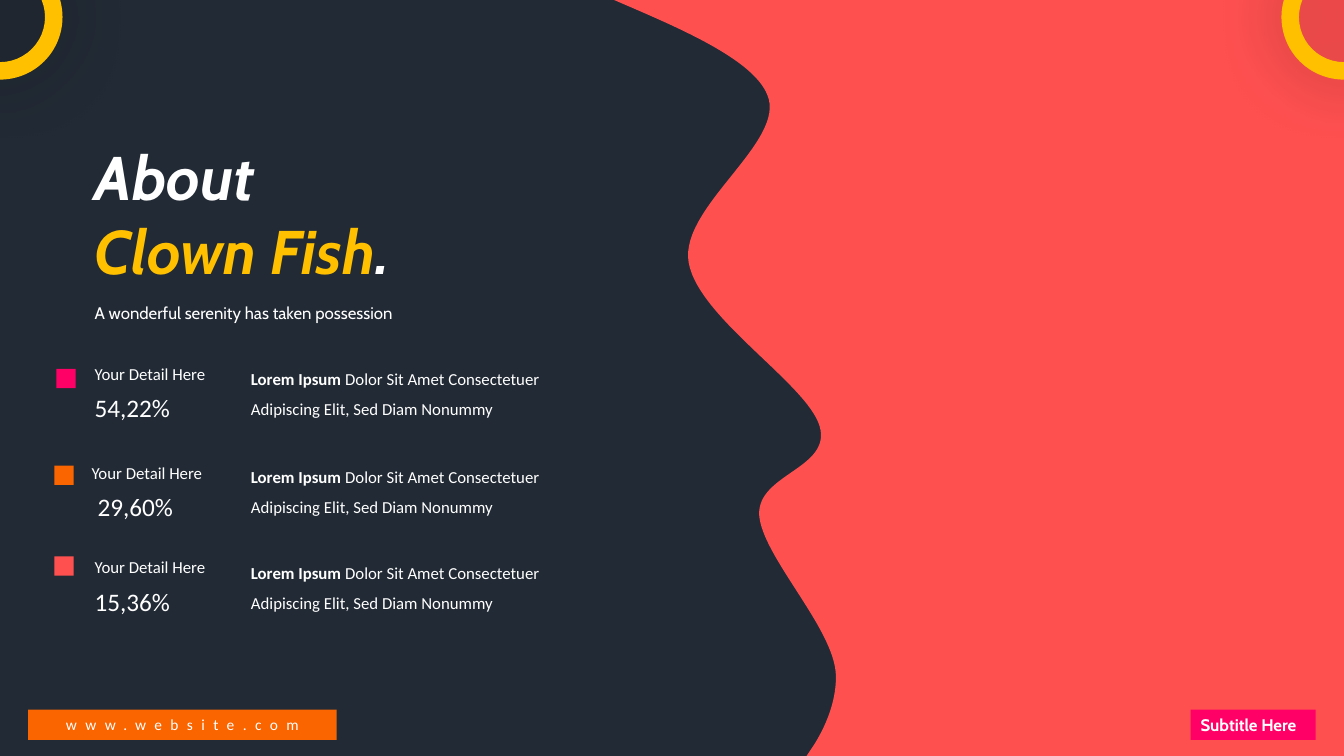
from lxml import etree
from pptx import Presentation
from pptx import util as u
from pptx.dml import color
from pptx.enum import shapes, text
from pptx.oxml import ns

PX = 9144
HEX = {"navy": "222A35", "coral": "FF5050", "gold": "FFC000",
       "pink": "FF0066", "orange": "FA6500", "white": "FFFFFF"}
KIND = shapes.MSO_SHAPE
FIT = text.MSO_AUTO_SIZE.SHAPE_TO_FIT_TEXT
EDGE = [(1333, 0), (1333, 750), (800, 750), (808, 738)]
WAVE = [
    ((821, 717), (830, 692), (829, 669)),
    ((827, 623), (756, 552), (753, 511)),
    ((751, 470), (825, 465), (813, 423)),
    ((801, 381), (692, 315), (683, 260)),
    ((674, 205), (781, 140), (761, 94)),
    ((747, 59), (674, 28), (616, 3)),
]
ROWS = [
    ("54,22%", "pink", (56, 366), (84, 356), (84, 384), 351),
    ("29,60%", "orange", (54, 462), (81, 454), (87, 483), 448),
    ("15,36%", "coral", (54, 552), (84, 547), (84, 577), 543),
]


def rgb(name):
    """Look up a palette colour."""
    return color.RGBColor.from_string(HEX[name])


def paint(shape, fill):
    """Give a shape a plain fill with no line or shadow."""
    shape.shadow.inherit = False
    shape.fill.solid()
    shape.fill.fore_color.rgb = rgb(fill)
    shape.line.fill.background()


def block(slide, kind, box, fill):
    """Add a filled preset shape."""
    shape = slide.shapes.add_shape(kind, *(n * PX for n in box))
    paint(shape, fill)
    return shape


def write(shape, lines, size, font, bold=False, space=None):
    """Fill a shape with lines of (words, colour) runs."""
    frame = shape.text_frame
    for i, line in enumerate(lines):
        para = frame.add_paragraph() if i else frame.paragraphs[0]
        para.alignment = text.PP_ALIGN.LEFT
        para.line_spacing = space
        for words, tint in line:
            run = para.add_run()
            run.text = words
            run.font.size = u.Pt(size)
            run.font.name = font
            run.font.bold = bold
            run.font.color.rgb = rgb(tint)


def label(slide, box, lines, size, font, bold=False, space=None):
    """Add a wrapped text box."""
    shape = slide.shapes.add_textbox(*(n * PX for n in box))
    shape.text_frame.word_wrap = True
    shape.text_frame.auto_size = FIT
    write(shape, lines, size, font, bold, space)
    return shape


def wave(slide):
    """Draw the wavy panel on the right with true cubic curves."""
    left = 609
    pen = slide.shapes.build_freeform(left, 0, scale=PX)
    pen.add_line_segments(EDGE + [curve[-1] for curve in WAVE], close=True)
    panel = pen.convert_to_shape()
    paint(panel, "coral")
    lines = list(panel._element.iter(ns.qn("a:lnTo")))[len(EDGE):]
    for line, curve in zip(lines, WAVE):
        bend = etree.Element(ns.qn("a:cubicBezTo"))
        for x, y in curve:
            etree.SubElement(bend, ns.qn("a:pt"), x=str(x - left), y=str(y))
        line.getparent().replace(line, bend)


def ring(slide, left):
    """Add a gold corner ring with a soft shadow."""
    shape = block(slide, KIND.DONUT, (left, -45, 124, 124), "gold")
    shape.adjustments[0] = 0.14
    glow = shape._element.spPr.find(ns.qn("a:effectLst"))
    soft = etree.SubElement(glow, ns.qn("a:outerShdw"), blurRad=str(u.Pt(49)),
                            dist="0", dir="0", algn="ctr", rotWithShape="0")
    tint = etree.SubElement(soft, ns.qn("a:srgbClr"), val="000000")
    etree.SubElement(tint, ns.qn("a:alpha"), val="33000")


def detail(slide, value, fill, mark, head, num, top):
    """Add one row of marker, heading, value and description."""
    block(slide, KIND.RECTANGLE, (*mark, 19, 19), fill)
    label(slide, (*head, 188, 30), [[("Your Detail Here", "white")]], 12, "Calibri")
    label(slide, (*num, 155, 40), [[(value, "white")]], 18, "Calibri")
    body = [("Lorem Ipsum ", "white"),
            ("Dolor Sit Amet Consectetuer Adipiscing Elit, Sed Diam Nonummy", "white")]
    note = label(slide, (239, top, 309, 68), [body], 12, "Calibri", space=1.5)
    note.text_frame.paragraphs[0].runs[0].font.bold = True


def title(slide):
    """Add the heading and its tagline."""
    lines = [[("About", "white")], [("Clown Fish", "gold"), (".", "white")]]
    head = label(slide, (84, 133, 522, 158), lines, 44, "Cabin", True)
    for para in head.text_frame.paragraphs:
        for run in para.runs:
            run.font.italic = True
    line = [("A wonderful serenity has taken possession", "white")]
    label(slide, (84, 285, 442, 37), [line], 12, "Cabin", space=1.5)


def foot(slide):
    """Add the subtitle tag and the website bar."""
    tag = block(slide, KIND.RECTANGLE, (1181, 704, 124, 30), "pink")
    tag.text_frame.word_wrap = False
    tag.text_frame.auto_size = FIT
    tag.text_frame.vertical_anchor = text.MSO_ANCHOR.TOP
    write(tag, [[("Subtitle Here", "white")]], 12, "Cabin", True)
    bar = block(slide, KIND.ROUNDED_RECTANGLE, (28, 704, 306, 30), "orange")
    bar.adjustments[0] = 0
    bar.text_frame.vertical_anchor = text.MSO_ANCHOR.MIDDLE
    write(bar, [[("www.website.com", "white")]], 11, "Calibri")
    para = bar.text_frame.paragraphs[0]
    para.alignment = text.PP_ALIGN.CENTER
    para.runs[0]._r.get_or_add_rPr().set("spc", "600")


def main():
    """Build and save the slide."""
    deck = Presentation()
    deck.slide_width, deck.slide_height = 1333 * PX, 750 * PX
    slide = deck.slides.add_slide(deck.slide_layouts[6])
    slide.background.fill.solid()
    slide.background.fill.fore_color.rgb = rgb("navy")
    wave(slide)
    title(slide)
    for row in ROWS:
        detail(slide, *row)
    foot(slide)
    for left in (-62, 1271):
        ring(slide, left)
    deck.save("out.pptx")


if __name__ == "__main__":
    main()
